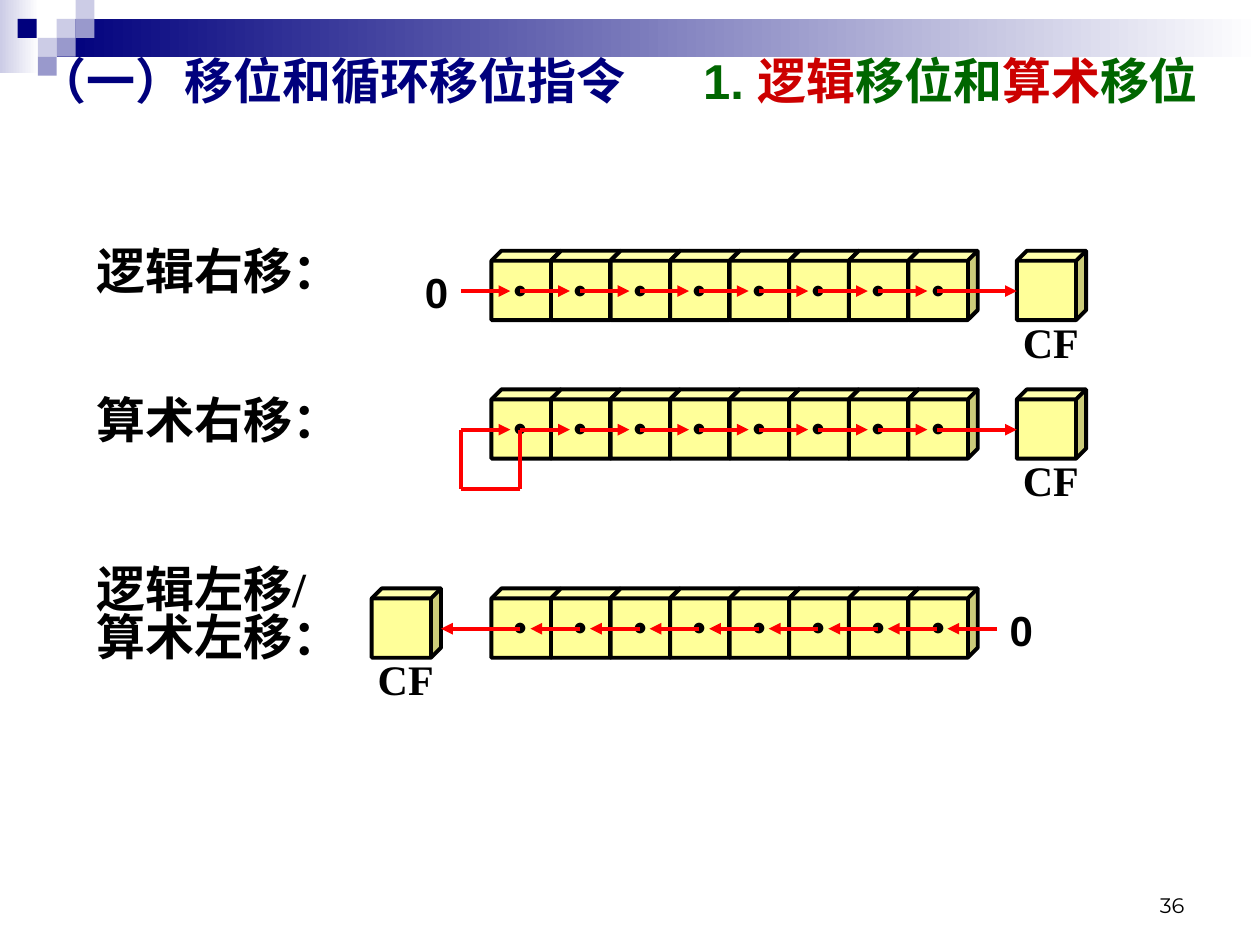
from typing import NamedTuple, Optional

from lxml.etree import SubElement
from pptx import Presentation
from pptx.dml.color import RGBColor
from pptx.enum.shapes import MSO_CONNECTOR, MSO_SHAPE
from pptx.enum.text import MSO_ANCHOR, MSO_AUTO_SIZE, PP_ALIGN
from pptx.oxml.ns import qn
from pptx.util import Inches, Pt

NAVY, MIST, LILAC, WHITE = "00007D", "CCCCE6", "9999CC", "FFFFFF"
BLACK, RED, GREEN, CRIMSON, CREAM = "000000", "FF0000", "006600", "CC0000", "FFFF99"
CJK = "Noto Sans CJK SC"
SIZE, COUNT, FIRST = 0.55, 8, 3.9
PITCH = (7.21 - FIRST) / (COUNT - 1)
DOT_X, DOT_Y, GAP = 0.23, 0.32, 0.08


class Row(NamedTuple):
    top: float
    step: int  # 1 shifts right, -1 shifts left
    flag: float  # left edge of the CF cube
    zero: Optional[float]  # left edge of the 0, if one is fed in


class Label(NamedTuple):
    top: float
    height: float
    lines: tuple


ROWS = [
    Row(1.99, 1, 8.07, 3.19),
    Row(3.09, 1, 8.07, None),
    Row(4.67, -1, 2.95, 7.83),
]
LABELS = [
    Label(1.94, 0.57, ("逻辑右移：",)),
    Label(3.12, 0.57, ("算术右移：",)),
    Label(4.46, 1.03, ("逻辑左移/", "算术左移：")),
]
BARS = [(0, 0, 0.31, 0.58, MIST), (0.45, 0.15, 9.55, 0.3, NAVY)]
TILES = [
    (0.45, 0.15, MIST), (0.6, 0, MIST), (0.6, 0.15, LILAC), (0.3, 0.3, MIST),
    (0.14, 0.15, NAVY), (0.45, 0.3, LILAC), (0.3, 0.45, LILAC),
]
TITLE = [
    ("（一）移位和循环移位指令\t", NAVY), ("1. ", GREEN), ("逻辑", CRIMSON),
    ("移位和", GREEN), ("算术", CRIMSON), ("移位", GREEN),
]

deck = Presentation()
deck.slide_width, deck.slide_height = Inches(10), Inches(7.5)
slide = deck.slides.add_slide(deck.slide_layouts[5])
shapes = slide.shapes


def rgb(code: str) -> RGBColor:
    return RGBColor.from_string(code)


def put(target, **values) -> None:
    for name, value in values.items():
        setattr(target, name, value)


def write(para, text: str, size: float, face: str, color=BLACK, bold=True) -> None:
    run = para.add_run()
    run.text = text
    put(run.font, size=Pt(size), name=face, bold=bold)
    run.font.color.rgb = rgb(color)
    SubElement(run.font._element, qn("a:ea"), typeface=CJK)


def box(x: float, y: float, w: float, h: float, lines: tuple, size: float, face: str,
        bold=True, frame=None, para=None) -> None:
    area = shapes.add_textbox(*map(Inches, (x, y, w, h))).text_frame
    put(area, word_wrap=True, **(frame or {}))
    for i, text in enumerate(lines):
        item = area.add_paragraph() if i else area.paragraphs[0]
        put(item, **(para or {}))
        write(item, text, size, face, bold=bold)


def block(x: float, y: float, w: float, h: float, color: str, fade=False) -> None:
    item = shapes.add_shape(MSO_SHAPE.RECTANGLE, *map(Inches, (x, y, w, h)))
    item.shadow.inherit = False
    item.line.fill.background()
    if fade:
        item.fill.gradient()
        item.fill.gradient_angle = 0
        for stop, tone in zip(item.fill.gradient_stops, (color, WHITE)):
            stop.color.rgb = rgb(tone)
    else:
        item.fill.solid()
        item.fill.fore_color.rgb = rgb(color)


def cube(x: float, y: float, text="") -> None:
    item = shapes.add_shape(MSO_SHAPE.CUBE, *map(Inches, (x, y, SIZE, SIZE)))
    item.shadow.inherit = False
    item.adjustments[0] = 0.145
    item.fill.solid()
    item.fill.fore_color.rgb = rgb(CREAM)
    item.line.color.rgb = rgb(BLACK)
    item.line.width = Pt(2.25)
    if text:
        put(item.text_frame, word_wrap=False, vertical_anchor=MSO_ANCHOR.MIDDLE)
        para = item.text_frame.paragraphs[0]
        para.alignment = PP_ALIGN.CENTER
        write(para, text, 24, CJK)


def wire(x1: float, y1: float, x2: float, y2: float, head=True) -> None:
    item = shapes.add_connector(MSO_CONNECTOR.STRAIGHT, *map(Inches, (x1, y1, x2, y2)))
    item.line.color.rgb = rgb(RED)
    item.line.width = Pt(2.25)
    if head:
        SubElement(item.line._get_or_add_ln(), qn("a:tailEnd"), type="triangle")
    SubElement(item.element.spPr, qn("a:effectLst"))


def draw(row: Row) -> None:
    mid = row.top + DOT_Y
    for i in range(COUNT):
        cube(FIRST + i * PITCH, row.top, "·")
    cube(row.flag, row.top)
    # Arrows run from dot to dot, and from the last dot to the flag
    dots = [FIRST + DOT_X + i * PITCH for i in range(-1, COUNT + 1)]
    path = dots[:-1] if row.step > 0 else dots[:0:-1]
    ends = [x - row.step * GAP for x in path[1:]]
    ends.append(row.flag if row.step > 0 else row.flag + SIZE)
    for start, end in zip(path, ends):
        wire(start, mid, end, mid)
    center = {"alignment": PP_ALIGN.CENTER}
    box(row.flag - 0.16, row.top + 0.47, 0.86, 0.5, ("CF",), 24, "Times New Roman", para=center)
    if row.zero is not None:
        box(row.zero, row.top + 0.08, 0.55, 0.5, ("0",), 24, "Arial", para=center)
    else:
        # Sign bit loops back into the first cell
        low = mid + 0.47
        loop = [(path[1], mid), (path[1], low), (path[0], low), (path[0], mid)]
        for a, b in zip(loop, loop[1:]):
            wire(*a, *b, head=False)


# Header band and tiles
for bar in BARS:
    block(*bar, fade=True)
for x, y, color in TILES:
    block(x, y, 0.15, 0.15, color)

# Title, in front of the band
title = shapes.title
title.element.getparent().append(title.element)
put(title, left=Inches(0.2), top=Inches(0.36), width=Inches(9.61), height=Inches(0.63))
put(title.text_frame, word_wrap=True, auto_size=MSO_AUTO_SIZE.NONE,
    vertical_anchor=MSO_ANCHOR.MIDDLE)
head = title.text_frame.paragraphs[0]
put(head, alignment=PP_ALIGN.LEFT, line_spacing=0.83)
tabs = SubElement(head._p.get_or_add_pPr(), qn("a:tabLst"))
SubElement(tabs, qn("a:tab"), pos=str(Inches(5.28)), algn="l")
for text, color in TITLE:
    write(head, text, 28, "Arial", color)

# Shift diagrams and their names
for row in ROWS:
    draw(row)
for label in LABELS:
    box(0.67, label.top, 2.36, label.height, label.lines, 28, "Times New Roman",
        para={"line_spacing": 0.83})

# Page number
box(7.17, 6.83, 2.33, 0.5, ("36",), 12, "Montserrat", bold=False,
    frame={"vertical_anchor": MSO_ANCHOR.BOTTOM}, para={"alignment": PP_ALIGN.RIGHT})

deck.save("out.pptx")
